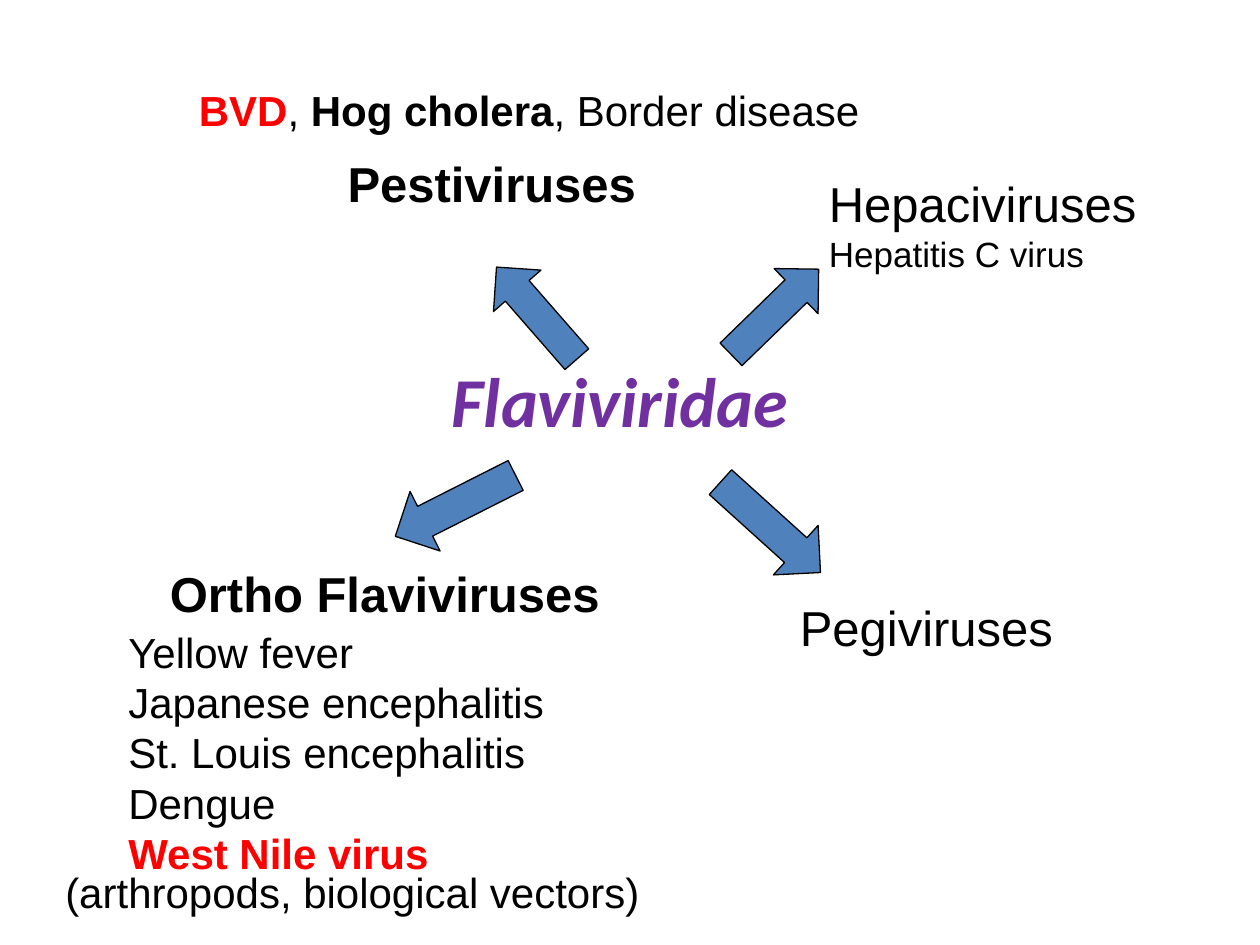
from pptx import Presentation
from pptx.dml.color import RGBColor
from pptx.enum.shapes import MSO_SHAPE
from pptx.enum.text import MSO_ANCHOR, MSO_AUTO_SIZE, PP_ALIGN
from pptx.util import Inches, Pt

UP, DOWN = MSO_SHAPE.UP_ARROW, MSO_SHAPE.DOWN_ARROW
BLACK = RGBColor(0x00, 0x00, 0x00)
RED = RGBColor(0xFF, 0x00, 0x00)
PURPLE = RGBColor(0x70, 0x30, 0xA0)
BLUE = RGBColor(0x4F, 0x81, 0xBD)

SLIDE_WIDTH, SLIDE_HEIGHT = 10, 7.5
HEADING, BODY, SMALL = 28, 24, 20
KEY = {"bold": True}
ALERT = {"bold": True, "color": RED}

TITLE = ("Flaviviridae", (2.17, 2.67, 5.5, 1))

# Each label: box (left, top, width, height), then lines of (size, runs)
LABELS = [
    ((2.66, 1.17, 2.52, 0.57), [(HEADING, [("Pestiviruses", KEY)])]),
    ((1.48, 0.62, 5.48, 0.5), [(BODY, [
        ("BVD", ALERT), (", ", {}), ("Hog cholera", KEY), (", Border disease", {})])]),
    ((6.48, 1.33, 2.67, 0.91), [
        (HEADING, [("Hepaciviruses", {})]),
        (SMALL, [("Hepatitis C virus", {})])]),
    ((1.25, 4.42, 3.65, 0.57), [(HEADING, [("Ortho Flaviviruses", KEY)])]),
    ((0.92, 4.92, 3.5, 2.1), [
        (BODY, [("Yellow fever", {})]),
        (BODY, [("Japanese encephalitis", {})]),
        (BODY, [("St. Louis encephalitis", {})]),
        (BODY, [("Dengue", {})]),
        (BODY, [("West Nile virus", ALERT)])]),
    ((0.42, 6.83, 4.76, 0.5), [(BODY, [("(arthropods, biological vectors)", {})])]),
    ((6.25, 4.69, 2.32, 0.91), [(HEADING, [("Pegiviruses", {})])]),
]

# Each arrow: preset, box, rotation in degrees
ARROWS = [
    (UP, (4.01, 2, 0.5, 0.97), 318.9),
    (UP, (5.9, 1.99, 0.5, 0.97), 45.8),
    (DOWN, (3.35, 3.48, 0.53, 1.07), 63.2),
    (DOWN, (5.85, 3.65, 0.53, 1.07), 312.1),
]


def inches(box):
    return [Inches(length) for length in box]


def add_run(paragraph, text, size, font="Arial", color=BLACK, bold=False, italic=False):
    run = paragraph.add_run()
    run.text = text
    run.font.name = font
    run.font.size = Pt(size)
    run.font.bold = bold
    run.font.italic = italic
    run.font.color.rgb = color


def set_title(slide, text, box):
    title = slide.shapes.title
    title.left, title.top, title.width, title.height = inches(box)
    frame = title.text_frame
    frame.auto_size = MSO_AUTO_SIZE.NONE
    frame.vertical_anchor = MSO_ANCHOR.MIDDLE
    paragraph = frame.paragraphs[0]
    paragraph.alignment = PP_ALIGN.CENTER
    add_run(paragraph, text, 40, font="Calibri", color=PURPLE, bold=True, italic=True)


def add_label(slide, box, lines):
    frame = slide.shapes.add_textbox(*inches(box)).text_frame
    frame.word_wrap = False
    for index, (size, runs) in enumerate(lines):
        paragraph = frame.add_paragraph() if index else frame.paragraphs[0]
        for text, style in runs:
            add_run(paragraph, text, size, **style)


def add_arrow(slide, preset, box, rotation):
    arrow = slide.shapes.add_shape(preset, *inches(box))
    arrow.rotation = rotation
    arrow.adjustments[0] = 0.5
    arrow.adjustments[1] = 0.5
    arrow.shadow.inherit = False
    arrow.fill.solid()
    arrow.fill.fore_color.rgb = BLUE
    arrow.line.color.rgb = BLACK
    arrow.line.width = Pt(0.75)


def main():
    presentation = Presentation()
    presentation.slide_width = Inches(SLIDE_WIDTH)
    presentation.slide_height = Inches(SLIDE_HEIGHT)
    title_only = presentation.slide_layouts[5]
    slide = presentation.slides.add_slide(title_only)
    set_title(slide, *TITLE)
    for label in LABELS:
        add_label(slide, *label)
    for arrow in ARROWS:
        add_arrow(slide, *arrow)
    presentation.save("out.pptx")


if __name__ == "__main__":
    main()
